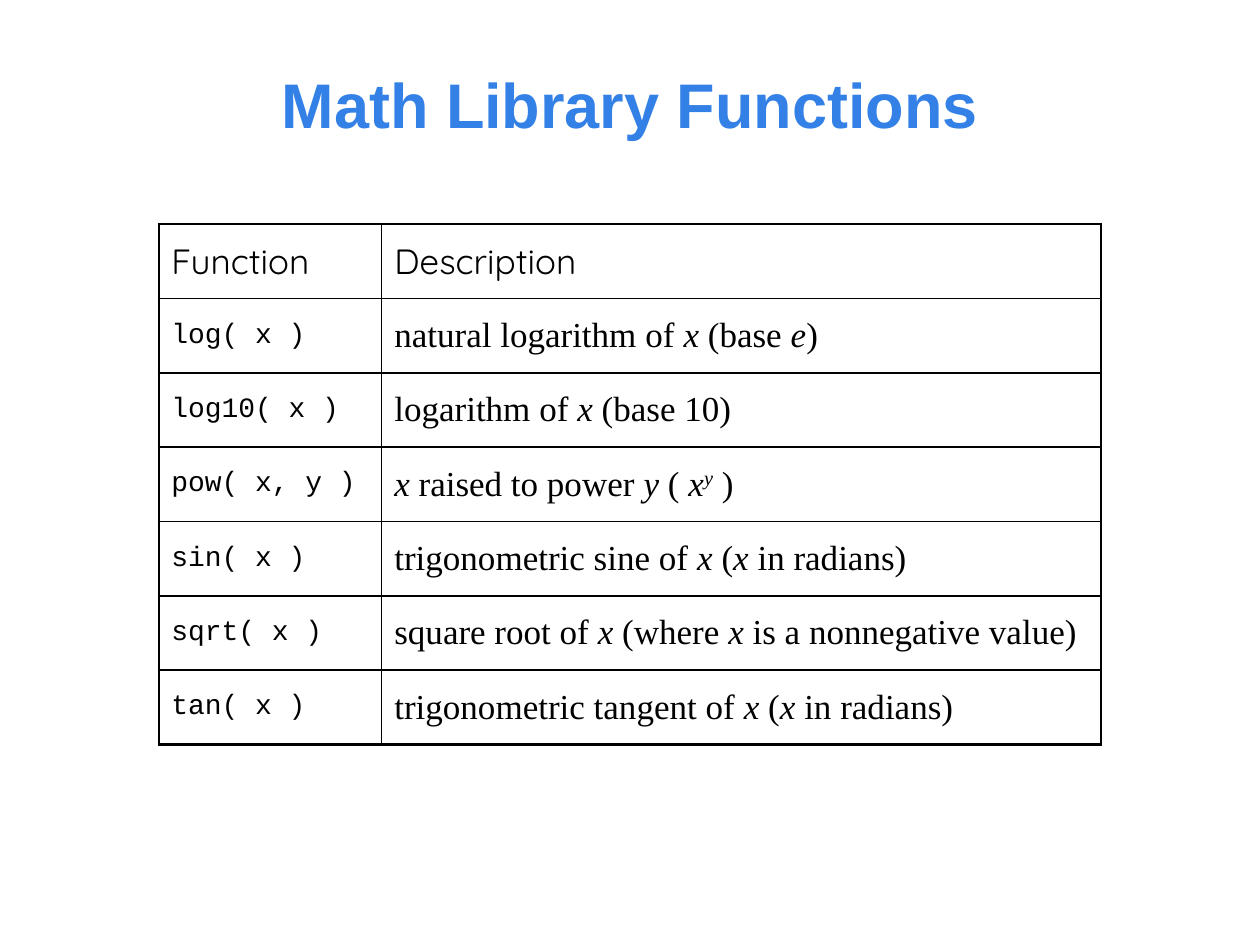
from dataclasses import dataclass

from lxml import etree
from pptx import Presentation
from pptx.dml.color import RGBColor
from pptx.enum.text import MSO_ANCHOR, PP_ALIGN
from pptx.oxml.ns import qn
from pptx.util import Inches, Pt

MIDDLE = MSO_ANCHOR.MIDDLE
CENTER = PP_ALIGN.CENTER


@dataclass(frozen=True)
class Theme:
    blue: str = "3380E6"
    black: str = "000000"
    outer: float = 1.5
    inner: float = 1
    title = {"name": "Arial", "size": Pt(36), "bold": True}
    head = {"name": "Quicksand", "size": Pt(20)}
    code = {"name": "Courier New", "size": Pt(16)}
    prose = {"name": "Times New Roman", "size": Pt(20)}


THEME = Theme()
WIDTH, HEIGHT = Inches(10), Inches(7.5)
TITLE = "Math Library Functions"
TITLE_BOX = (Inches(0.75), Inches(0.28), Inches(8.5), Inches(1.08))
TABLE_BOX = (Inches(1.26), Inches(1.78), Inches(7.48), Inches(4.13))
SPLIT = 1.77 / 7.48  # share of the table width taken by the first column

# *...* is italic, and ^ raises the rest of an italic part
ROWS = [
    ("Function", "Description"),
    ("log( x )", "natural logarithm of *x* (base *e*)"),
    ("log10( x )", "logarithm of *x* (base 10)"),
    ("pow( x, y )", "*x* raised to power *y* ( *x^y* )"),
    ("sin( x )", "trigonometric sine of *x* (*x* in radians)"),
    ("sqrt( x )", "square root of *x* (where *x* is a nonnegative value)"),
    ("tan( x )", "trigonometric tangent of *x* (*x* in radians)"),
]


def style(font, form, color):
    for key, value in form.items():
        setattr(font, key, value)
    font.color.rgb = RGBColor.from_string(color)


def write(para, text, form):
    """Add the marked-up text as runs."""
    for i, part in enumerate(text.split("*")):
        for j, piece in enumerate(part.split("^")):
            if not piece:
                continue
            run = para.add_run()
            run.text = piece
            style(run.font, {**form, "italic": i % 2 == 1}, THEME.black)
            if j:
                run.font._element.set("baseline", "30000")


def rule(cell, widths):
    """Draw the cell borders, given in the order left, right, top, bottom."""
    props = cell._tc.get_or_add_tcPr()
    for i, (side, width) in enumerate(zip("LRTB", widths)):
        line = etree.Element(qn(f"a:ln{side}"), w=str(Pt(width)))
        fill = etree.SubElement(line, qn("a:solidFill"))
        etree.SubElement(fill, qn("a:srgbClr"), val=THEME.black)
        props.insert(i, line)


def add_title(slide, box):
    title = slide.shapes.title
    title.left, title.top, title.width, title.height = box
    frame = title.text_frame
    frame.text = TITLE
    frame.vertical_anchor = MIDDLE
    para = frame.paragraphs[0]
    para.alignment = CENTER
    style(para.runs[0].font, THEME.title, THEME.blue)


def add_grid(slide, box):
    count = len(ROWS)
    table = slide.shapes.add_table(count, 2, *box).table
    table.first_row = table.horz_banding = False
    width, height = box[2:]
    first = round(width * SPLIT)
    for col, size in zip(table.columns, (first, width - first)):
        col.width = size
    for row in table.rows:
        row.height = height // count
    for r, texts in enumerate(ROWS):
        forms = (THEME.code, THEME.prose) if r else (THEME.head, THEME.head)
        for c, (text, form) in enumerate(zip(texts, forms)):
            cell = table.cell(r, c)
            cell.vertical_anchor = MIDDLE
            cell.fill.background()
            write(cell.text_frame.paragraphs[0], text, form)
            edges = (c == 0, c == 1, r == 0, r == count - 1)
            rule(cell, [THEME.outer if edge else THEME.inner for edge in edges])


def main():
    deck = Presentation()
    deck.slide_width, deck.slide_height = WIDTH, HEIGHT
    slide = deck.slides.add_slide(deck.slide_layouts.get_by_name("Title Only"))
    add_title(slide, TITLE_BOX)
    add_grid(slide, TABLE_BOX)
    deck.save("out.pptx")


if __name__ == "__main__":
    main()
